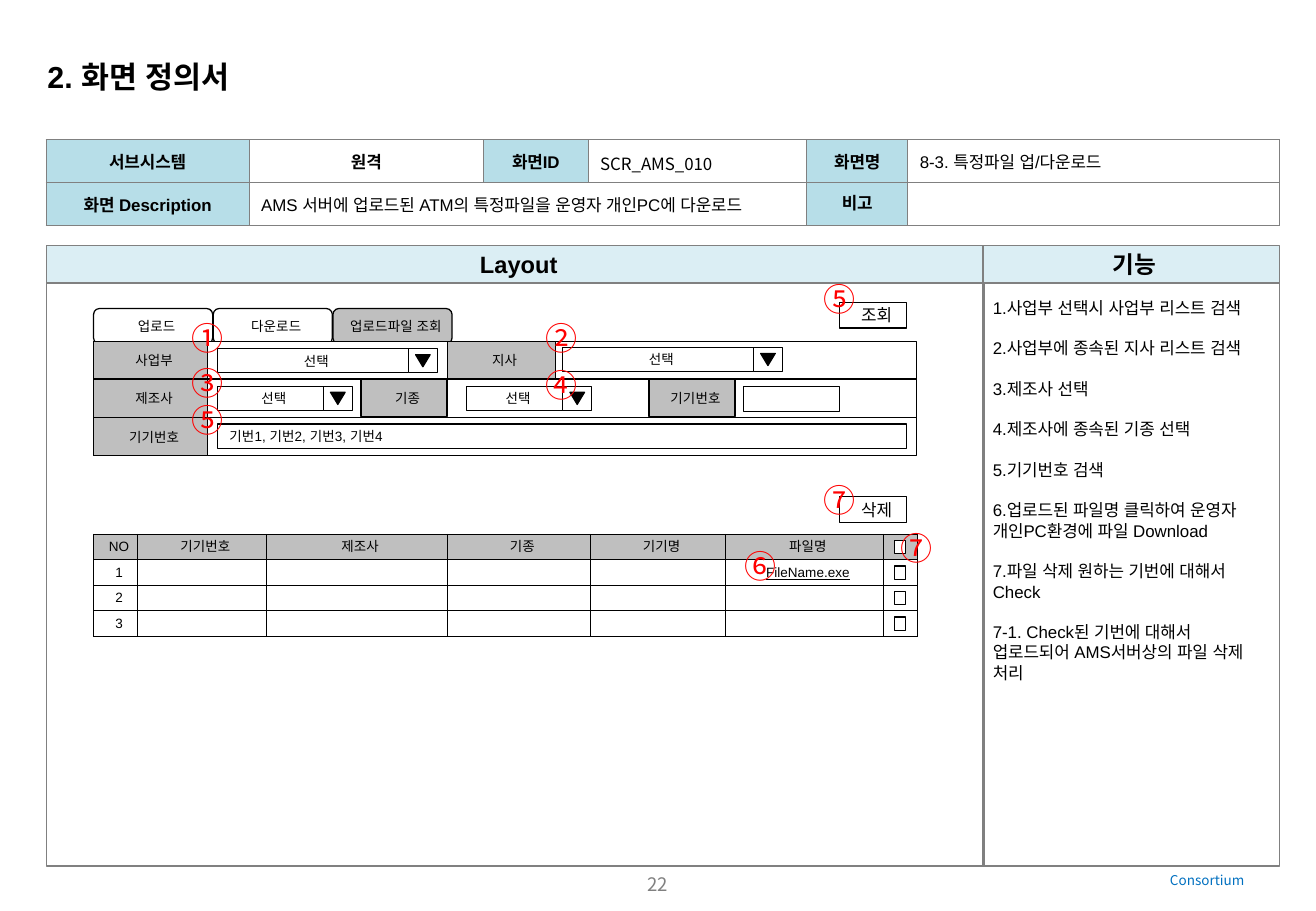
import lxml.etree
import pptx
import pptx.dml.color
import pptx.enum.shapes
import pptx.enum.text
import pptx.oxml.ns
import pptx.util

COLS, ROWS = 108.3, 75
HUES = {"ink": "000000", "paper": "FFFFFF", "gray": "BFBFBF", "edge": "808080",
        "blue": "B7DEE8", "pale": "DBEEF4", "red": "FF0000", "link": "0070C0"}
SANS, NOTO = "Arial", "Noto Sans CJK KR"
KIND = pptx.enum.shapes.MSO_SHAPE
ALIGN = pptx.enum.text.PP_ALIGN
ANCHOR = pptx.enum.text.MSO_ANCHOR
FIT = pptx.enum.text.MSO_AUTO_SIZE
TIGHT = (0.1, 0.02, 0.04, 0.02)
ROOMY = (0.1, 0.05, 0.1, 0.05)
SIDES = ("left", "top", "right", "bottom")

TOP_ROWS = [
    ["서브시스템", "원격", "화면ID", "SCR_AMS_010", "화면명", "8-3. 특정파일 업/다운로드"],
    ["화면 Description", "AMS 서버에 업로드된 ATM의 특정파일을 운영자 개인PC에 다운로드",
     "", "", "비고", ""],
]
FILE_ROWS = [
    ["NO", "기기번호", "제조사", "기종", "기기명", "파일명", ""],
    ["1", "", "", "", "", "FileName.exe", ""],
    ["2", "", "", "", "", "", ""],
    ["3", "", "", "", "", "", ""],
]
NOTES = [
    "1.사업부 선택시 사업부 리스트 검색",
    "2.사업부에 종속된 지사 리스트 검색",
    "3.제조사 선택",
    "4.제조사에 종속된 기종 선택",
    "5.기기번호 검색",
    "6.업로드된 파일명 클릭하여 운영자 개인PC환경에 파일 Download",
    "7.파일 삭제 원하는 기번에 대해서 Check",
    "7-1. Check된 기번에 대해서 업로드되어 AMS서버상의 파일 삭제 처리",
]
MARKS = [("①", 14.8, 25.7), ("②", 43.9, 25.7), ("③", 14.8, 29.4),
         ("④", 43.9, 29.6), ("⑤", 14.8, 32.5), ("⑤", 66.8, 22.5),
         ("⑥", 60.3, 44.5), ("⑦", 73.1, 43), ("⑦", 66.8, 39.1)]


def color(name):
    return pptx.dml.color.RGBColor.from_string(HUES[name])


def node(parent, tag, **attrs):
    return lxml.etree.SubElement(parent, pptx.oxml.ns.qn(tag), attrs)


def style(item, values):
    for key, value in values.items():
        setattr(item, key, value)


def pad(item, sizes):
    style(item, {f"margin_{s}": pptx.util.Inches(n) for s, n in zip(SIDES, sizes)})


class Deck:
    """One slide on a grid of COLS by ROWS, with its text style."""

    def __init__(self):
        self.file = pptx.Presentation()
        self.file.slide_width = pptx.util.Inches(10.83)
        self.file.slide_height = pptx.util.Inches(7.5)
        self.page = self.file.slides.add_slide(self.file.slide_layouts[1])

    def col(self, n):
        return round(self.file.slide_width * n / COLS)

    def row(self, n):
        return round(self.file.slide_height * n / ROWS)

    def area(self, x, y, w, h):
        return self.col(x), self.row(y), self.col(w), self.row(h)

    def say(self, frame, lines, size=8, face=SANS, hue="ink", bold=False,
            line=False, **form):
        """Fill a text frame; form holds paragraph attributes."""
        for i, text in enumerate(lines):
            para = frame.add_paragraph() if i else frame.paragraphs[0]
            style(para, form)
            if not text:
                node(para._p, "a:endParaRPr", sz=str(size * 100))
                continue
            run = para.add_run()
            run.text = text
            style(run.font, {"size": pptx.util.Pt(size), "name": face,
                             "bold": bold, "underline": line})
            run.font.color.rgb = color(hue)
            node(run._r.get_or_add_rPr(), "a:ea", typeface=face)

    def paint(self, item, fill, edge):
        if fill:
            item.fill.solid()
            item.fill.fore_color.rgb = color(fill)
        else:
            item.fill.background()
        item.line.color.rgb = color(edge)
        item.line.width = pptx.util.Pt(0.75)

    def box(self, x, y, w, h, text="", fill="paper", edge="ink", kind=KIND.RECTANGLE,
            alignment=ALIGN.CENTER, **form):
        item = self.page.shapes.add_shape(kind, *self.area(x, y, w, h))
        item.shadow.inherit = False
        self.paint(item, fill, edge)
        if text:
            frame = item.text_frame
            style(frame, {"word_wrap": True, "vertical_anchor": ANCHOR.MIDDLE})
            pad(frame, TIGHT)
            self.say(frame, [text], alignment=alignment, **form)

    def label(self, x, y, w, h, text, **form):
        frame = self.page.shapes.add_textbox(*self.area(x, y, w, h)).text_frame
        frame.word_wrap = True
        self.say(frame, [text], **form)

    def hold(self, index, place, lines, inset, anchor, **form):
        """Move and fill a template placeholder."""
        item = self.page.placeholders[index]
        style(item, dict(zip(("left", "top", "width", "height"), self.area(*place))))
        frame = item.text_frame
        style(frame, {"word_wrap": True, "auto_size": FIT.NONE,
                      "vertical_anchor": anchor})
        pad(frame, inset)
        self.say(frame, lines, alignment=ALIGN.LEFT,
                 space_before=pptx.util.Pt(0), **form)
        return item

    def pick(self, x, y, w):
        """Draw a drop-down field."""
        self.box(x, y, w, 2, "선택")
        self.box(x + w, y, 2.4, 2)
        self.box(x + w + 0.6, y + 0.5, 1.2, 1, fill="ink", kind=KIND.FLOWCHART_MERGE)

    def table(self, x, y, wide, tall, cells, look, edge, inset):
        """Add a table; look(r, c) gives a cell's fill and text format."""
        grid = self.page.shapes.add_table(
            len(tall), len(wide), *self.area(x, y, sum(wide), sum(tall))).table
        style(grid, {"first_row": False, "horz_banding": False})
        for c, w in enumerate(wide):
            grid.columns[c].width = self.col(w)
        for r, h in enumerate(tall):
            grid.rows[r].height = self.row(h)
            for c, text in enumerate(cells[r]):
                cell = grid.cell(r, c)
                fill, form = look(r, c)
                cell.vertical_anchor = ANCHOR.MIDDLE
                pad(cell, inset)
                for side in "LRTB":
                    rim = node(cell._tc.get_or_add_tcPr(), f"a:ln{side}", w="9525")
                    node(node(rim, "a:solidFill"), "a:srgbClr", val=HUES[edge])
                cell.fill.solid()
                cell.fill.fore_color.rgb = color(fill)
                self.say(cell.text_frame, [text], **form)
        return grid


def top_look(r, c):
    head = c in (0, 4) or (r, c) == (0, 2)
    bold = head or (r, c) == (0, 1)
    form = {"size": 10, "bold": bold,
            "face": NOTO if (r, c) == (0, 3) else SANS,
            "alignment": ALIGN.CENTER if bold else ALIGN.LEFT,
            "line_spacing": 1.0 if (r, c) == (1, 4) else 1.2}
    return ("blue" if head else "paper"), form


def file_look(r, c):
    return ("paper" if r else "gray"), {"alignment": ALIGN.CENTER,
                                        "line": r == 1 and c == 5}


def frame(deck):
    deck.hold(0, (2.9, 4.3, 21.4, 4), ["2. 화면 정의서"], ROOMY, ANCHOR.MIDDLE,
              size=18, bold=True)
    deck.label(95.3, 71.3, 10.2, 2.4, "Consortium", face=NOTO, hue="link")
    deck.label(39.6, 71.4, 29.1, 3.2, "22", size=11, face=NOTO, hue="edge",
               alignment=ALIGN.CENTER)
    grid = deck.table(3.8, 11.5, [16.7, 19.3, 8.6, 18, 8.3, 30.6], [3.5, 3.6],
                      TOP_ROWS, top_look, "edge", ROOMY)
    grid.cell(1, 1).merge(grid.cell(1, 3))
    deck.box(3.8, 23.3, 77.2, 48, fill=None, edge="edge")
    for x, w, text in ((3.8, 77.2, "Layout"), (80.9, 24.4, "기능")):
        deck.box(x, 20.2, w, 3.1, text, "pale", "edge", size=14, bold=True)
    notes = deck.hold(1, (80.9, 23.3, 24.4, 48), NOTES, (0.08, 0.12, 0.08, 0.08),
                      ANCHOR.TOP, size=10, space_after=pptx.util.Pt(12))
    deck.paint(notes, None, "edge")
    for para in notes.text_frame.paragraphs:
        props = para._p.get_or_add_pPr()
        props.set("marL", "0")
        props.set("indent", "0")
        node(props, "a:buNone")


def form(deck):
    tabs = [("업로드", "paper"), ("다운로드", "paper"), ("업로드파일 조회", "gray")]
    for i, (text, fill) in reversed(list(enumerate(tabs))):
        deck.box(7.7 + 9.85 * i, 25.4, 9.8, 2.9, text, fill,
                 kind=KIND.ROUNDED_RECTANGLE)
    for i, text in enumerate(("사업부", "제조사", "기기번호")):
        y = 28.1 + 3.15 * i
        deck.box(7.7, y, 67.7, 3.1)
        deck.box(7.7, y, 9.4, 3.1, text, "gray")
    for x, y, w, text in ((36.8, 28.1, 8.9, "지사"), (29.7, 31.2, 7.1, "기종"),
                          (53.4, 31.2, 7.1, "기기번호")):
        deck.box(x, y, w, 3.1, text, "gray")
    for x, y, w in ((17.9, 28.7, 15.7), (46.3, 28.6, 15.7),
                    (17.9, 31.8, 8.7), (38.4, 31.8, 7.9)):
        deck.pick(x, y, w)
    deck.box(61.2, 31.8, 7.9, 2.1)
    deck.box(17.9, 34.9, 56.7, 2, "기번1, 기번2, 기번3, 기번4", alignment=ALIGN.LEFT)
    for y, text in ((24.9, "조회"), (40.9, "삭제")):
        deck.box(69.1, y, 5.5, 2.1, text, size=10)


def files(deck):
    deck.table(7.7, 44, [3.6, 10.6, 14.9, 11.8, 11.1, 13, 2.8], [2.1] * 4,
               FILE_ROWS, file_look, "ink", TIGHT)
    for i in range(4):
        deck.box(73.6, 44.5 + 2.1 * i, 0.9, 1.1)


def main():
    deck = Deck()
    frame(deck)
    form(deck)
    files(deck)
    for text, x, y in MARKS:
        deck.label(x, y, 4.7, 4.2, text, size=19, face=NOTO, hue="red")
    deck.file.save("out.pptx")


if __name__ == "__main__":
    main()
